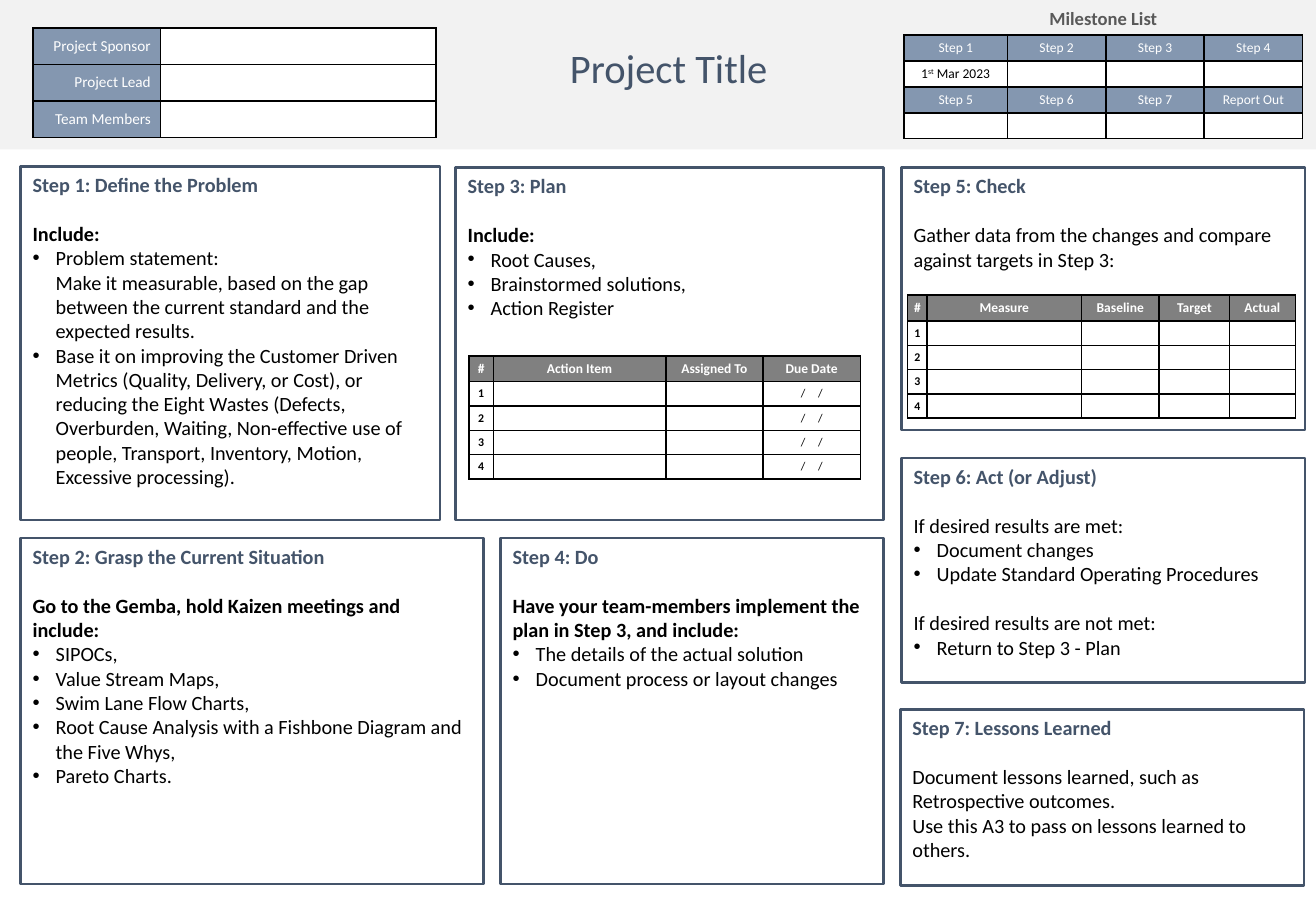
from dataclasses import dataclass

from lxml import etree
from pptx import Presentation
from pptx import util as u
from pptx.dml.color import RGBColor
from pptx.enum import shapes, text
from pptx.oxml.ns import qn

FONT = "Calibri"
NAVY = RGBColor(0x44, 0x54, 0x6A)
STEEL = RGBColor(0x84, 0x97, 0xB0)
GREY = RGBColor(0x80, 0x80, 0x80)
DARK = RGBColor(0x59, 0x59, 0x59)
PALE = RGBColor(0xF2, 0xF2, 0xF2)
WHITE = RGBColor(0xFF, 0xFF, 0xFF)
BLACK = RGBColor(0x00, 0x00, 0x00)

LEFT, CENTER, RIGHT = text.PP_ALIGN.LEFT, text.PP_ALIGN.CENTER, text.PP_ALIGN.RIGHT
LINE_GAP = 14.65  # one line of 12 pt text, in points
HANG = u.Inches(0.19)
DATE_TRACKING = 300  # hundredths of a point between date slashes


@dataclass
class Line:
    text: str
    bold: bool = False
    bullet: bool = False
    indented: bool = False
    gap: bool = False


@dataclass
class Panel:
    heading: str
    box: tuple[float, float, float, float]
    lines: list[Line]


@dataclass
class CellStyle:
    fill: RGBColor | None = WHITE
    color: RGBColor = BLACK
    size: float = 8
    bold: bool = False
    align: text.PP_ALIGN = CENTER
    margins: tuple[float, float, float, float] = (0.04, 0.04, 0.04, 0.04)
    sides: str = "LRTB"
    tracking: int = 0


def bullets(*items: str) -> list[Line]:
    return [Line(item, bullet=True) for item in items]


def write(para, content: str, *, size: float, color: RGBColor, bold: bool = False,
          align=LEFT, before: float = 0, tracking: int = 0) -> None:
    """Fill a paragraph; text between ^ marks is superscript."""
    para.alignment = align
    para.space_before = u.Pt(before)
    if not content:
        etree.SubElement(para._p, qn("a:endParaRPr"), sz=str(int(size * 100)))
        return
    for index, part in enumerate(content.split("^")):
        span = para.add_run()
        span.text = part
        span.font.name, span.font.size, span.font.bold = FONT, u.Pt(size), bold
        span.font.color.rgb = color
        if index % 2:
            span.font._element.set("baseline", "30000")
        if tracking:
            span.font._element.set("spc", str(tracking))


def add_box(page, box: tuple[float, float, float, float], fill: RGBColor):
    shape = page.shapes.add_shape(shapes.MSO_SHAPE.RECTANGLE, *map(u.Inches, box))
    shape.shadow.inherit = False
    shape.fill.solid()
    shape.fill.fore_color.rgb = fill
    shape.line.fill.background()
    return shape


def add_panel(page, panel: Panel) -> None:
    shape = add_box(page, panel.box, WHITE)
    shape.line.color.rgb = NAVY
    shape.line.width = u.Pt(1.5)
    frame = shape.text_frame
    frame.word_wrap = True
    frame.vertical_anchor = text.MSO_ANCHOR.TOP
    write(frame.paragraphs[0], panel.heading, size=12, color=NAVY, bold=True)
    for index, line in enumerate(panel.lines):
        para = frame.add_paragraph()
        if line.bullet or line.indented:
            props = para._p.get_or_add_pPr()
            props.set("marL", str(HANG))
            props.set("indent", str(-HANG if line.bullet else 0))
            if line.bullet:
                etree.SubElement(props, qn("a:buFont"), typeface="Arial")
                etree.SubElement(props, qn("a:buChar"), char="•")
        before = LINE_GAP if line.gap or index == 0 else 0
        write(para, line.text, size=12, color=BLACK, bold=line.bold, before=before)


def add_borders(cell, sides: str) -> None:
    props = cell._tc.get_or_add_tcPr()
    for side in "LRTB":
        border = etree.SubElement(props, qn(f"a:ln{side}"), w=str(u.Pt(1)))
        if side in sides:
            paint = etree.SubElement(border, qn("a:solidFill"))
            etree.SubElement(paint, qn("a:srgbClr"), val=str(BLACK))
        else:
            etree.SubElement(border, qn("a:noFill"))


def style_cell(cell, content: str, style: CellStyle) -> None:
    add_borders(cell, style.sides)
    if style.fill is None:
        cell.fill.background()
    else:
        cell.fill.solid()
        cell.fill.fore_color.rgb = style.fill
    cell.vertical_anchor = text.MSO_ANCHOR.MIDDLE
    (cell.margin_left, cell.margin_top,
     cell.margin_right, cell.margin_bottom) = map(u.Inches, style.margins)
    write(cell.text_frame.paragraphs[0], content, size=style.size, color=style.color,
          bold=style.bold, align=style.align, tracking=style.tracking)


def add_grid(page, left: float, top: float, widths: list[float], heights: list[float],
             rows: list[list[tuple[str, CellStyle]]]):
    box = map(u.Inches, (left, top, sum(widths), sum(heights)))
    table = page.shapes.add_table(len(heights), len(widths), *box).table
    table.first_row = table.horz_banding = False
    for column, width in zip(table.columns, widths):
        column.width = u.Inches(width)
    for row, height, entries in zip(table.rows, heights, rows):
        row.height = u.Inches(height)
        for cell, (content, style) in zip(row.cells, entries):
            style_cell(cell, content, style)
    return table


def row_of(style: CellStyle, *contents: str) -> list[tuple[str, CellStyle]]:
    return [(content, style) for content in contents]


def add_register(page, left: float, top: float, widths: list[float],
                 headings: list[str], ending: str = "") -> None:
    """Numbered table with a grey heading row and four entries."""
    head = CellStyle(GREY, WHITE, bold=True)
    number = CellStyle(size=7, bold=True)
    entry = CellStyle(size=7, tracking=DATE_TRACKING)
    blanks = [""] * (len(headings) - 2)
    rows = [row_of(head, *headings)]
    rows += [[(str(n), number), *row_of(entry, *blanks, ending)] for n in range(1, 5)]
    add_grid(page, left, top, widths, [0.21] + [0.2] * 4, rows)


PANELS = [
    Panel("Step 1: Define the Problem", (0.17, 1.37, 3.45, 2.91), [
        Line("Include:", bold=True),
        Line("Problem statement:", bullet=True),
        Line("Make it measurable, based on the gap between the current standard and "
             "the expected results.", indented=True),
        Line("Base it on improving the Customer Driven Metrics (Quality, Delivery, or "
             "Cost), or reducing the Eight Wastes (Defects, Overburden, Waiting, "
             "Non-effective use of people, Transport, Inventory, Motion, Excessive "
             "processing).", bullet=True)]),
    Panel("Step 2: Grasp the Current Situation", (0.17, 4.43, 3.81, 2.85), [
        Line("Go to the Gemba, hold Kaizen meetings and include:", bold=True),
        *bullets("SIPOCs,", "Value Stream Maps,", "Swim Lane Flow Charts,",
                 "Root Cause Analysis with a Fishbone Diagram and the Five Whys,",
                 "Pareto Charts.")]),
    Panel("Step 3: Plan", (3.75, 1.38, 3.52, 2.9), [
        Line("Include:", bold=True),
        *bullets("Root Causes,", "Brainstormed solutions,", "Action Register")]),
    Panel("Step 4: Do", (4.12, 4.43, 3.15, 2.85), [
        Line("Have your team-members implement the plan in Step 3, and include:", bold=True),
        *bullets("The details of the actual solution", "Document process or layout changes")]),
    Panel("Step 5: Check", (7.42, 1.38, 3.32, 2.16), [
        Line("Gather data from the changes and compare against targets in Step 3:")]),
    Panel("Step 6: Act (or Adjust)", (7.42, 3.77, 3.32, 1.85), [
        Line("If desired results are met:"),
        *bullets("Document changes", "Update Standard Operating Procedures"),
        Line("If desired results are not met:", gap=True),
        *bullets("Return to Step 3 - Plan")]),
    Panel("Step 7: Lessons Learned", (7.41, 5.84, 3.32, 1.45), [
        Line("Document lessons learned, such as Retrospective outcomes."),
        Line("Use this A3 to pass on lessons learned to others.")]),
]


def main() -> None:
    deck = Presentation()
    deck.slide_width, deck.slide_height = u.Inches(10.83), u.Inches(7.5)
    page = deck.slides.add_slide(deck.slide_layouts[5])

    # Header band and title
    title = page.shapes.title
    title.element.addprevious(add_box(page, (0, 0, 10.83, 1.23), PALE).element)
    title.left, title.top, title.width, title.height = map(u.Inches, (4.59, 0.3, 1.84, 0.5))
    title.text_frame.word_wrap = False
    title.text_frame.auto_size = text.MSO_AUTO_SIZE.SHAPE_TO_FIT_TEXT
    write(title.text_frame.paragraphs[0], "Project Title", size=24, color=NAVY)

    # Project roles
    role = CellStyle(STEEL, WHITE, 9, align=RIGHT, margins=(0.02, 0.02, 0.08, 0.02))
    roles = ["Project Sponsor", "Project Lead", "Team Members"]
    add_grid(page, 0.27, 0.23, [1.05, 2.27], [0.3] * 3,
             [[(name, role), ("", CellStyle(size=9))] for name in roles])

    # Milestones
    caption = CellStyle(None, DARK, 11, bold=True, sides="B")
    step, day = CellStyle(STEEL, WHITE), CellStyle()
    milestones = add_grid(page, 7.44, 0.02, [0.85, 0.81, 0.81, 0.81], [0.27] + [0.21] * 4, [
        row_of(caption, "Milestone List", "", "", ""),
        row_of(step, "Step 1", "Step 2", "Step 3", "Step 4"),
        row_of(day, "1^st^ Mar 2023", "", "", ""),
        row_of(step, "Step 5", "Step 6", "Step 7", "Report Out"),
        row_of(day, "", "", "", "")])
    milestones.cell(0, 0).merge(milestones.cell(0, 3))

    # Step panels and their tables
    for panel in PANELS:
        add_panel(page, panel)
    add_register(page, 3.86, 2.93, [0.2, 1.42, 0.8, 0.8],
                 ["#", "Action Item", "Assigned To", "Due Date"], ending="/ /")
    add_register(page, 7.47, 2.43, [0.16, 1.27, 0.64, 0.58, 0.54],
                 ["#", "Measure", "Baseline", "Target", "Actual"])

    deck.save("out.pptx")


if __name__ == "__main__":
    main()
